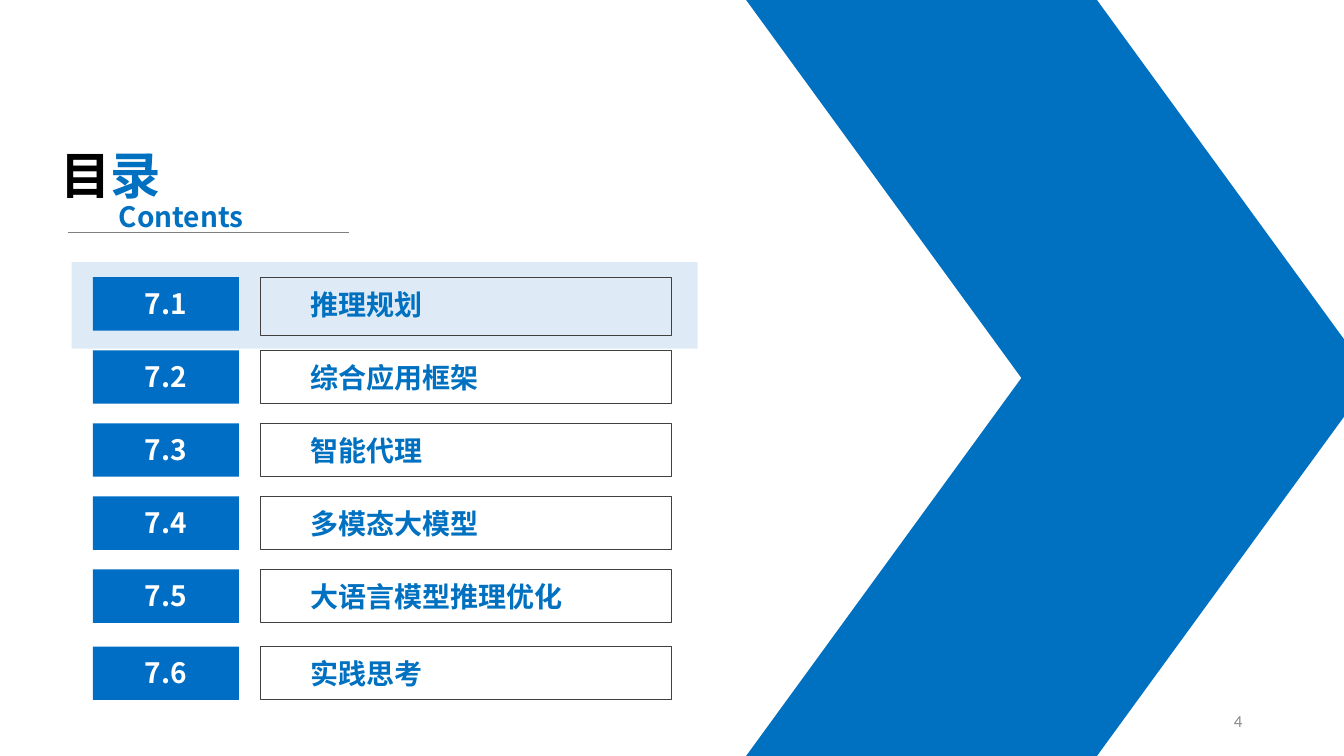
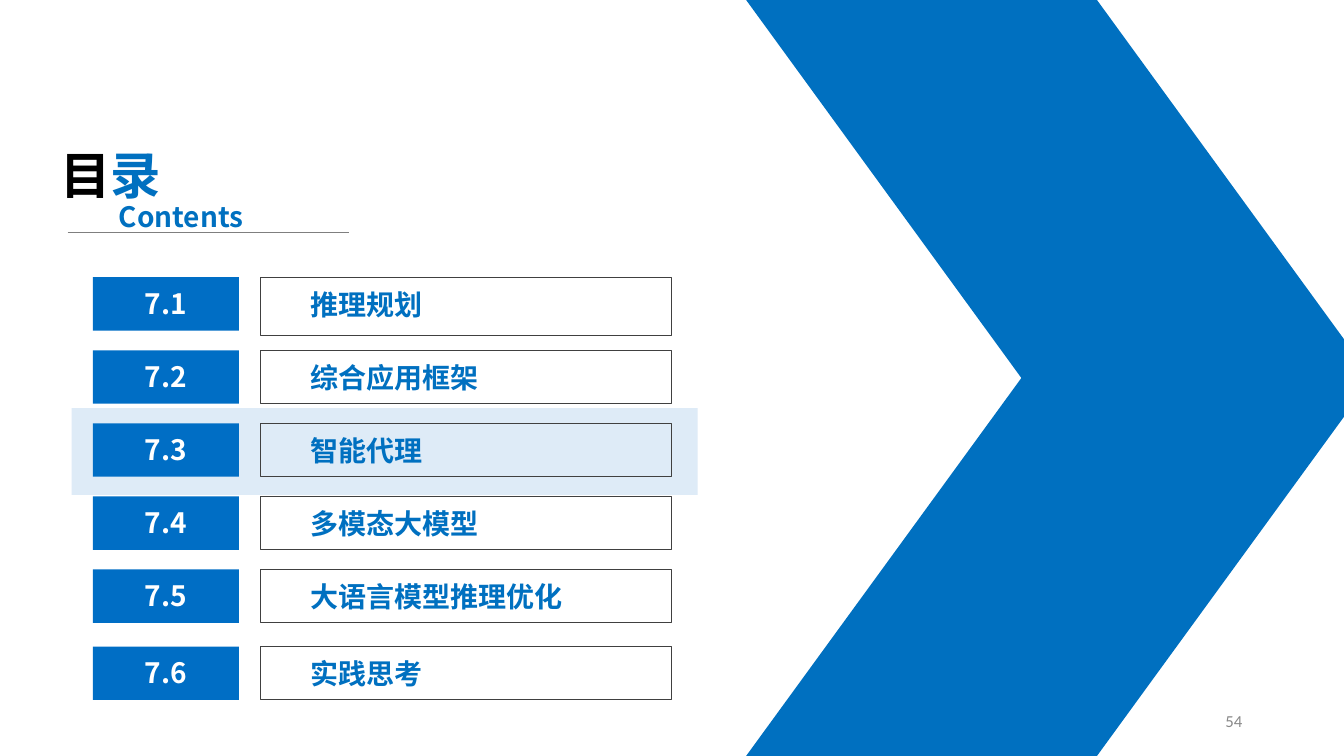
from lxml.etree import SubElement
from pptx import Presentation
from pptx.dml.color import RGBColor
from pptx.enum.shapes import MSO_CONNECTOR, MSO_SHAPE
from pptx.enum.text import MSO_ANCHOR, PP_ALIGN
from pptx.oxml.ns import qn
from pptx.util import Inches, Pt

BLUE = RGBColor(0x00, 0x70, 0xC0)
BADGE_BLUE = RGBColor(0x00, 0x6E, 0xC5)
PALE_BLUE = RGBColor(0xDE, 0xEB, 0xF7)
BLACK = RGBColor(0x00, 0x00, 0x00)
WHITE = RGBColor(0xFF, 0xFF, 0xFF)
FRAME_GREY = RGBColor(0x40, 0x40, 0x40)
RULE_GREY = RGBColor(0x7F, 0x7F, 0x7F)
NUMBER_GREY = RGBColor(0x89, 0x89, 0x89)

HEADING_FONT = "Noto Sans CJK SC"
NUMBER_FONT = "Calibri"

SLIDE_W, SLIDE_H = 13.33, 7.5
INSET_X, INSET_Y = 0.1, 0.05

# The agenda grid: a badge column, a topic column and evenly spaced rows
BADGE_X, BADGE_W = 0.92, 1.45
TOPIC_X, TOPIC_W = 2.58, 4.08
ROW_TOP, ROW_PITCH, ROW_H = 2.75, 0.725, 0.53
FIRST_TOPIC_H = 0.58
LAST_ROW_DROP = 0.04
BAND_X, BAND_W, BAND_H, BAND_RISE = 0.71, 6.21, 0.86, 0.15

CHEVRON_X, CHEVRON_W, CHEVRON_SLANT = 7.4, 6.21, 0.728

CHAPTER = 7
TOPICS = ["推理规划", "综合应用框架", "智能代理", "多模态大模型",
          "大语言模型推理优化", "实践思考"]
# Highlighted section and page number of each slide
AGENDA_PAGES = [(1, 4), (3, 54)]


def write_text(frame, *parts, size=20, font=HEADING_FONT, bold=True,
               align=PP_ALIGN.LEFT, anchor=MSO_ANCHOR.TOP,
               left=INSET_X, top=INSET_Y):
    """Fill a text frame with one paragraph of (text, colour) parts."""
    frame.word_wrap = True
    frame.vertical_anchor = anchor
    frame.margin_left, frame.margin_right = Inches(left), Inches(INSET_X)
    frame.margin_top, frame.margin_bottom = Inches(top), Inches(INSET_Y)
    paragraph = frame.paragraphs[0]
    paragraph.alignment = align
    for text, colour in parts:
        run = paragraph.add_run()
        run.text = text
        run.font.size, run.font.bold, run.font.name = Pt(size), bold, font
        run.font.color.rgb = colour
        SubElement(run.font._element, qn("a:ea"), typeface=font)


def add_text(slide, x, y, w, h, *parts, **text_format):
    box = slide.shapes.add_textbox(Inches(x), Inches(y), Inches(w), Inches(h))
    write_text(box.text_frame, *parts, **text_format)


def add_block(slide, x, y, w, h, fill=None, line=None, kind=MSO_SHAPE.RECTANGLE):
    block = slide.shapes.add_shape(kind, Inches(x), Inches(y), Inches(w), Inches(h))
    block.shadow.inherit = False
    if fill is None:
        block.fill.background()
    else:
        block.fill.solid()
        block.fill.fore_color.rgb = fill
    if line is None:
        block.line.fill.background()
    else:
        block.line.color.rgb = line
        block.line.width = Pt(0.75)
    return block


def add_rule(slide, x, y, w):
    rule = slide.shapes.add_connector(
        MSO_CONNECTOR.STRAIGHT, Inches(x), Inches(y), Inches(x + w), Inches(y))
    rule.line.color.rgb = RULE_GREY
    rule.line.width = Pt(0.5)
    SubElement(rule._element.spPr, qn("a:effectLst"))


def add_chevron(slide):
    """Two mirrored halves that meet at mid-height and run off the right edge."""
    half = SLIDE_H / 2
    for top, mirrored in ((half, False), (0, True)):
        arm = add_block(slide, CHEVRON_X, top, CHEVRON_W, half, fill=BLUE,
                        kind=MSO_SHAPE.PARALLELOGRAM)
        arm.adjustments[0] = CHEVRON_SLANT
        if mirrored:
            arm._element.spPr.xfrm.set("flipV", "1")


def add_title(slide):
    add_text(slide, 0.5, 1.38, 1.57, 0.71, ("目", BLACK), ("录", BLUE), size=36)
    add_rule(slide, 0.67, 2.31, 2.79)
    add_text(slide, 1.08, 1.93, 1.57, 0.44, ("Contents", BLUE))


def row_top(section):
    drop = LAST_ROW_DROP if section == len(TOPICS) else 0
    return ROW_TOP + (section - 1) * ROW_PITCH + drop


def add_agenda_row(slide, section, topic):
    top = row_top(section)
    topic_h = FIRST_TOPIC_H if section == 1 else ROW_H
    frame = add_block(slide, TOPIC_X, top, TOPIC_W, topic_h, line=FRAME_GREY)
    write_text(frame.text_frame, (topic, BLUE), left=0.5, top=0.1)
    badge = add_block(slide, BADGE_X, top, BADGE_W, ROW_H, fill=BADGE_BLUE)
    write_text(badge.text_frame, (f"{CHAPTER}.{section}", WHITE),
               align=PP_ALIGN.CENTER, top=0.09)


def add_agenda_slide(deck, current, page):
    slide = deck.slides.add_slide(deck.slide_layouts[6])
    add_block(slide, BAND_X, row_top(current) - BAND_RISE, BAND_W, BAND_H,
              fill=PALE_BLUE)
    add_chevron(slide)
    add_title(slide)
    for section, topic in enumerate(TOPICS, start=1):
        add_agenda_row(slide, section, topic)
    add_text(slide, 9.42, 6.95, 3, 0.4, (str(page), NUMBER_GREY), size=12,
             font=NUMBER_FONT, bold=False, align=PP_ALIGN.RIGHT,
             anchor=MSO_ANCHOR.MIDDLE)


def main():
    deck = Presentation()
    deck.slide_width, deck.slide_height = Inches(SLIDE_W), Inches(SLIDE_H)
    for current, page in AGENDA_PAGES:
        add_agenda_slide(deck, current, page)
    deck.save("out.pptx")


if __name__ == "__main__":
    main()
